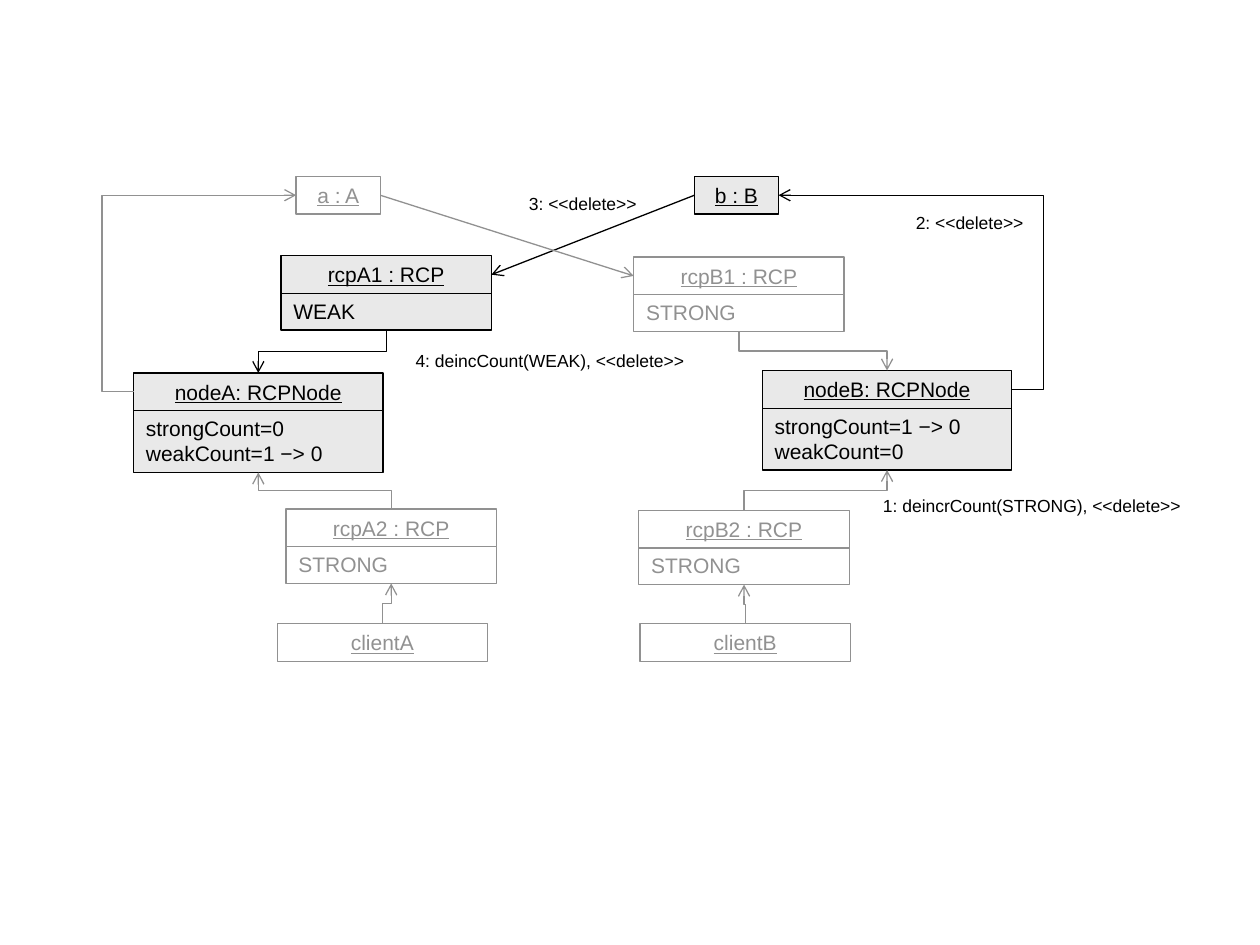
"""Build a UML object diagram showing the order of deletion in a ring of counted pointers."""
from lxml import etree
from pptx import Presentation
from pptx.dml.color import RGBColor
from pptx.enum.shapes import MSO_CONNECTOR, MSO_SHAPE
from pptx.enum.text import MSO_ANCHOR, MSO_AUTO_SIZE, PP_ALIGN
from pptx.oxml.ns import qn
from pptx.util import Inches, Pt

RECTANGLE = MSO_SHAPE.RECTANGLE
STRAIGHT, ELBOW = MSO_CONNECTOR.STRAIGHT, MSO_CONNECTOR.ELBOW
LEFT, CENTER = PP_ALIGN.LEFT, PP_ALIGN.CENTER
TOP = MSO_ANCHOR.TOP
FIT_SHAPE, FIXED_SIZE = MSO_AUTO_SIZE.SHAPE_TO_FIT_TEXT, MSO_AUTO_SIZE.NONE
TOP_SIDE, LEFT_SIDE, BOTTOM_SIDE, RIGHT_SIDE = range(4)

COLORS = {"active": "000000", "idle": "919191", "active fill": "E9E9E9", "idle fill": "FFFFFF"}
FONT = "Arial"
HEADER_HEIGHT, BODY_OFFSET = 0.3, 0.29
BODY_HEIGHTS = {1: 0.3, 2: 0.5}
LOOP_REACH = 0.25

OBJECTS = {
    "a": (2.35, 1.4, 0.67, "a : A", [], "idle"),
    "b": (5.51, 1.4, 0.67, "b : B", [], "active"),
    "rcpA1": (2.23, 2.03, 1.67, "rcpA1 : RCP", ["WEAK"], "active"),
    "rcpB1": (5.03, 2.04, 1.67, "rcpB1 : RCP", ["STRONG"], "idle"),
    "nodeA": (1.06, 2.96, 1.98, "nodeA: RCPNode", ["strongCount=0", "weakCount=1 −> 0"], "active"),
    "nodeB": (6.05, 2.94, 1.98, "nodeB: RCPNode", ["strongCount=1 −> 0", "weakCount=0"], "active"),
    "rcpA2": (2.27, 4.04, 1.67, "rcpA2 : RCP", ["STRONG"], "idle"),
    "rcpB2": (5.07, 4.05, 1.67, "rcpB2 : RCP", ["STRONG"], "idle"),
    "clientA": (2.2, 4.95, 1.67, "clientA", [], "idle"),
    "clientB": (5.08, 4.95, 1.67, "clientB", [], "idle"),
}
STRAIGHT_ARROWS = [
    ("b", LEFT_SIDE, "rcpA1", RIGHT_SIDE, "active"),
    ("a", RIGHT_SIDE, "rcpB1", LEFT_SIDE, "idle"),
]
LOOP_ARROWS = [
    ("nodeA", LEFT_SIDE, "a", LEFT_SIDE, "idle"),
    ("nodeB", RIGHT_SIDE, "b", RIGHT_SIDE, "active"),
]
STEP_ARROWS = [
    ("rcpA1", BOTTOM_SIDE, "nodeA", TOP_SIDE, "active"),
    ("rcpB1", BOTTOM_SIDE, "nodeB", TOP_SIDE, "idle"),
    ("rcpA2", TOP_SIDE, "nodeA", BOTTOM_SIDE, "idle"),
    ("rcpB2", TOP_SIDE, "nodeB", BOTTOM_SIDE, "idle"),
    ("clientA", TOP_SIDE, "rcpA2", BOTTOM_SIDE, "idle"),
    ("clientB", TOP_SIDE, "rcpB2", BOTTOM_SIDE, "idle"),
]
MESSAGES = [
    (6.91, 3.88, 2.6, "1: deincrCount(STRONG), <<delete>>"),
    (7.17, 1.63, 1.1, "2: <<delete>>"),
    (4.1, 1.48, 1.1, "3: <<delete>>"),
    (3.2, 2.73, 2.4, "4: deincCount(WEAK), <<delete>>"),
]


def write_text(shape, lines, size, color, alignment=LEFT, underline=False, fit=FIT_SHAPE):
    frame = shape.text_frame
    frame.text = "\n".join(lines)
    frame_format = {"word_wrap": True, "vertical_anchor": TOP, "auto_size": fit}
    for name, value in frame_format.items():
        setattr(frame, name, value)
    for paragraph in frame.paragraphs:
        paragraph.alignment = alignment
        font = paragraph.runs[0].font
        for name, value in {"name": FONT, "size": Pt(size), "underline": underline}.items():
            setattr(font, name, value)
        font.color.rgb = RGBColor.from_string(COLORS[color])


def add_box(slide, left, top, width, height, lines, state, **text_format):
    shape = slide.shapes.add_shape(RECTANGLE, *map(Inches, (left, top, width, height)))
    shape.shadow.inherit = False
    shape.fill.solid()
    shape.fill.fore_color.rgb = RGBColor.from_string(COLORS[state + " fill"])
    shape.line.color.rgb = RGBColor.from_string(COLORS[state])
    shape.line.width = Pt(0.75)
    write_text(shape, lines, 12, state, **text_format)
    return shape


def add_object(slide, left, top, width, title, body, state):
    if body:
        add_box(slide, left, top + BODY_OFFSET, width, BODY_HEIGHTS[len(body)], body, state)
    return add_box(slide, left, top, width, HEADER_HEIGHT, [title], state,
                   alignment=CENTER, underline=True)


def side_point(name, side):
    left, top, width, _, body, _ = OBJECTS[name]
    bottom = top + (BODY_OFFSET + BODY_HEIGHTS[len(body)] if body else HEADER_HEIGHT)
    middle_x, middle_y = left + width / 2, top + HEADER_HEIGHT / 2
    return {TOP_SIDE: (middle_x, top), LEFT_SIDE: (left, middle_y),
            BOTTOM_SIDE: (middle_x, bottom), RIGHT_SIDE: (left + width, middle_y)}[side]


def add_arrow(slide, kind, start, end, state):
    connector = slide.shapes.add_connector(kind, *map(Inches, (*start, *end)))
    connector.line.color.rgb = RGBColor.from_string(COLORS[state])
    connector.line.width = Pt(0.75)
    properties = connector._element.spPr
    etree.SubElement(properties.find(qn("a:ln")), qn("a:tailEnd"), type="arrow")
    etree.SubElement(properties, qn("a:effectLst"))
    return connector


def add_loop_arrow(slide, start, end, state):
    connector = add_arrow(slide, ELBOW, start, end, state)
    bend = round(-LOOP_REACH / abs(end[0] - start[0]) * 100000)
    geometry = connector._element.spPr.find(qn("a:prstGeom"))
    etree.SubElement(geometry.find(qn("a:avLst")), qn("a:gd"), name="adj1", fmla=f"val {bend}")


def add_step_arrow(slide, start, end, state):
    run, rise = end[0] - start[0], end[1] - start[1]
    center_x, center_y = (start[0] + end[0]) / 2, (start[1] + end[1]) / 2
    half_width = abs(rise) / 2
    half_height = abs(run) / 2 if run * rise < 0 else -abs(run) / 2
    connector = add_arrow(slide, ELBOW, (center_x - half_width, center_y - half_height),
                          (center_x + half_width, center_y + half_height), state)
    angle = 90 if rise > 0 else 270
    connector._element.spPr.find(qn("a:xfrm")).set("rot", str(angle * 60000))


def main():
    presentation = Presentation()
    presentation.slide_width, presentation.slide_height = Inches(10), Inches(7.5)
    slide = presentation.slides.add_slide(presentation.slide_layouts[6])
    headers = {name: add_object(slide, *details) for name, details in OBJECTS.items()}
    for source, source_side, target, target_side, state in STRAIGHT_ARROWS:
        connector = add_arrow(slide, STRAIGHT, side_point(source, source_side),
                              side_point(target, target_side), state)
        connector.begin_connect(headers[source], source_side)
        connector.end_connect(headers[target], target_side)
    for arrows, add_bent_arrow in ((LOOP_ARROWS, add_loop_arrow), (STEP_ARROWS, add_step_arrow)):
        for source, source_side, target, target_side, state in arrows:
            add_bent_arrow(slide, side_point(source, source_side),
                           side_point(target, target_side), state)
    for left, top, width, message in MESSAGES:
        text_box = slide.shapes.add_textbox(*map(Inches, (left, top, width, 0.27)))
        write_text(text_box, [message], 10, "active", fit=FIXED_SIZE)
    presentation.save("out.pptx")


if __name__ == "__main__":
    main()
